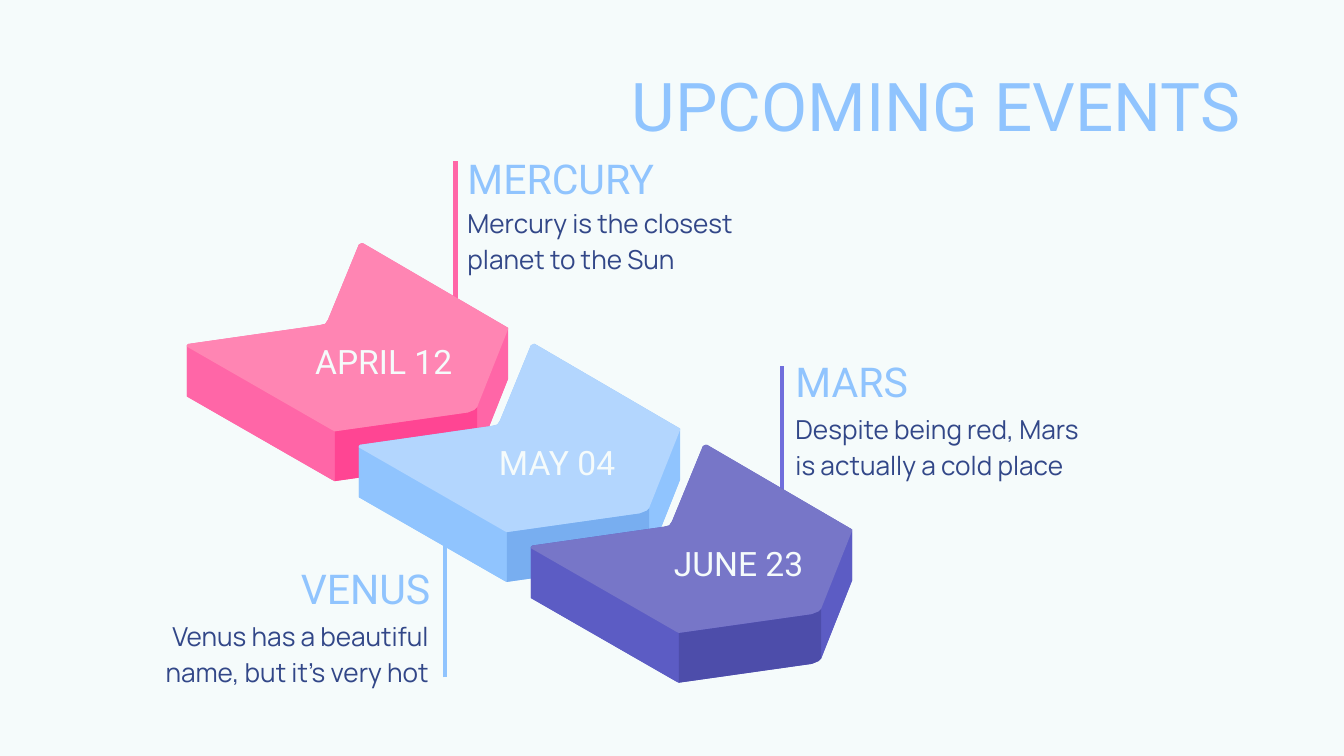
from pptx import Presentation
from pptx.dml.color import RGBColor
from pptx.enum.shapes import MSO_CONNECTOR
from pptx.enum.text import MSO_ANCHOR, PP_ALIGN
from pptx.oxml.ns import qn
from pptx.util import Inches, Pt
from lxml import etree

LEFT, CENTER, RIGHT = PP_ALIGN.LEFT, PP_ALIGN.CENTER, PP_ALIGN.RIGHT
TOP, MIDDLE = MSO_ANCHOR.TOP, MSO_ANCHOR.MIDDLE
STRAIGHT = MSO_CONNECTOR.STRAIGHT

PAPER, SKY, NAVY = "F5FBFB", "90C4FE", "324788"

# date, label left, then colours of side, front and top
ARROWS = [
    ("APRIL 12", 2.18, "FF66A7", "FF4593", "FF85B3"),
    ("MAY 04", 3.47, "90C4FE", "78AEF0", "B3D6FE"),
    ("JUNE 23", 4.82, "5C5CC4", "4D4DAA", "7776C8"),
]
# name, text, align, name left and top, text left and top, text height
NOTES = [
    ("MERCURY", "Mercury is the closest planet to the Sun",
     LEFT, 3.38, 1.04, 3.38, 1.41, 0.67),
    ("VENUS", "Venus has a beautiful name, but it’s very hot",
     RIGHT, 1.59, 4.09, 0.98, 4.48, 0.71),
    ("MARS", "Despite being red, Mars is actually a cold place",
     LEFT, 5.82, 2.55, 5.82, 2.94, 0.71),
]
# x, bottom, top, colour
RULES = [
    (5.82, 4.45, 2.72, "706EDC"),
    (3.39, 2.38, 1.2, "FF66A7"),
    (3.31, 5.04, 3.31, SKY),
]

# Top face of an arrow, clockwise from its back corner
FACE = [
    (1.28, 0.01), (1.3, 0), (1.31, 0), (2.39, 0.63), (2.39, 0.64),
    (2.16, 1.22), (2.14, 1.24), (2.09, 1.26), (1.1, 1.4), (1.08, 1.39),
    (0, 0.77), (0, 0.76), (0.01, 0.75), (0.99, 0.61), (1.03, 0.6),
    (1.05, 0.57),
]
DEPTH = 0.37
START = (1.39, 1.81)
STEP = (1.28, 0.75)


def color(code):
    return RGBColor.from_string(code)


def drop(points):
    return [(x, y + DEPTH) for x, y in points]


def wall(first, last):
    """Outline of the wall below part of the top face."""
    edge = FACE[first:last + 1]
    return edge + drop(edge)[::-1]


def add_text(slide, text, box, size, tint, font="Roboto", align=LEFT,
             anchor=TOP, spacing=None):
    frame = slide.shapes.add_textbox(*map(Inches, box)).text_frame
    frame.word_wrap = True
    frame.vertical_anchor = anchor
    frame.margin_left = frame.margin_right = Inches(0.1)
    frame.margin_top = frame.margin_bottom = Inches(0.1)
    para = frame.paragraphs[0]
    para.text = text
    para.alignment = align
    if spacing:
        para.line_spacing = spacing
    para.font.size = Pt(size)
    para.font.name = font
    para.font.color.rgb = color(tint)


def add_rule(slide, x, bottom, top, tint):
    rule = slide.shapes.add_connector(
        STRAIGHT, Inches(x), Inches(bottom), Inches(x), Inches(top))
    rule.line.color.rgb = color(tint)
    rule.line.width = Pt(2.25)
    etree.SubElement(rule._element.spPr, qn("a:effectLst"))


def add_face(group, points, left, top, tint):
    spots = [(Inches(left + x), Inches(top + y)) for x, y in points]
    pen = group.shapes.build_freeform(*spots[0])
    pen.add_line_segments(spots[1:], close=True)
    face = pen.convert_to_shape()
    face.shadow.inherit = False
    face.fill.solid()
    face.fill.fore_color.rgb = color(tint)
    face.line.fill.background()


def add_arrow(slide, left, top, side, front, lid):
    group = slide.shapes.add_group_shape()
    base = FACE[11:] + FACE[:5] + drop(FACE[4:12])
    faces = [(base, side), (wall(4, 5), side), (wall(5, 8), front),
             (wall(8, 11), side), (FACE, lid)]
    for points, tint in faces:
        add_face(group, points, left, top, tint)


def main():
    deck = Presentation()
    deck.slide_width = Inches(10)
    deck.slide_height = deck.slide_width * 9 // 16
    slide = deck.slides.add_slide(deck.slide_layouts[6])
    slide.background.fill.solid()
    slide.background.fill.fore_color.rgb = color(PAPER)

    for rule in RULES:
        add_rule(slide, *rule)
    for i, (date, x, *tints) in enumerate(ARROWS):
        left, top = (a + i * b for a, b in zip(START, STEP))
        add_arrow(slide, left, top, *tints)
        add_text(slide, date, (x, top + 0.63, 1.35, 0.5), 18, PAPER,
                 align=CENTER, anchor=MIDDLE)

    add_text(slide, "UPCOMING EVENTS", (3.8, 0.38, 5.53, 0.93), 36, SKY,
             align=RIGHT)
    for name, text, align, x, y, left, top, height in NOTES:
        add_text(slide, text, (left, top, 2.31, height), 14, NAVY,
                 font="Manrope", align=align, spacing=1.15)
        add_text(slide, name, (x, y, 1.71, 0.63), 22, SKY, align=align)

    deck.save("out.pptx")


if __name__ == "__main__":
    main()
